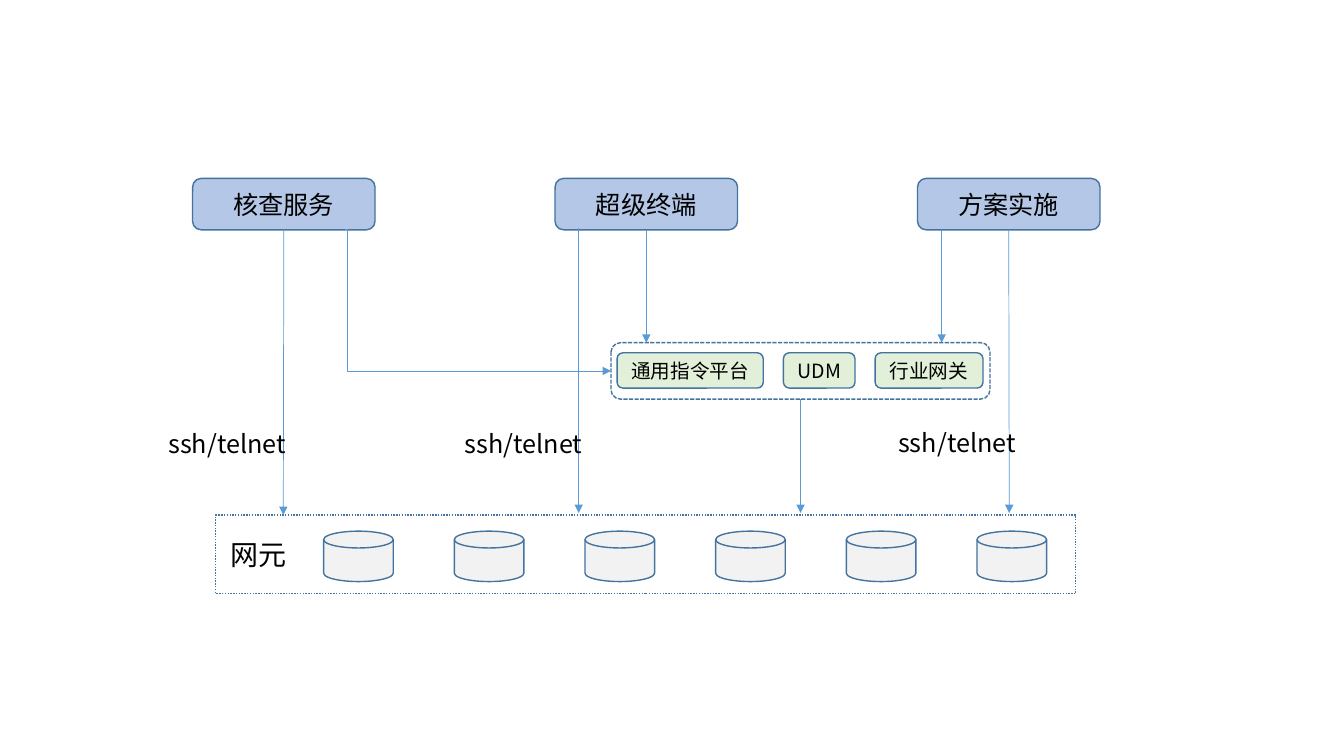
from lxml.etree import SubElement
from pptx import Presentation
from pptx.dml.color import RGBColor
from pptx.enum.dml import MSO_LINE
from pptx.enum.shapes import MSO_CONNECTOR, MSO_SHAPE
from pptx.enum.text import MSO_ANCHOR, PP_ALIGN
from pptx.oxml.ns import qn
from pptx.util import Inches, Pt

FONT = "Noto Sans CJK SC"
COLORS = {
    "service": "B4C7E7",
    "gateway": "E2F0D9",
    "disk": "F2F2F2",
    "edge": "43739E",
    "arrow": "5B9BD5",
    "text": "000000",
}


def color(name):
    return RGBColor.from_string(COLORS[name])


def write(frame, text, size=18, align=PP_ALIGN.LEFT, anchor=MSO_ANCHOR.TOP,
          wrap=True):
    frame.word_wrap = wrap
    frame.vertical_anchor = anchor
    para = frame.paragraphs[0]
    para.alignment = align
    run = para.add_run()
    run.text = text
    run.font.size = Pt(size)
    run.font.color.rgb = color("text")
    run.font.name = FONT
    SubElement(run.font._element, qn("a:ea"), typeface=FONT)


def label(slide, box, text, **fmt):
    area = slide.shapes.add_textbox(*map(Inches, box))
    write(area.text_frame, text, **fmt)


def block(slide, kind, box, fill=None, dash=None, text=None, size=18):
    shape = slide.shapes.add_shape(kind, *map(Inches, box))
    shape.shadow.inherit = False
    if fill:
        shape.fill.solid()
        shape.fill.fore_color.rgb = color(fill)
    else:
        shape.fill.background()
    shape.line.color.rgb = color("edge")
    shape.line.width = Pt(1)
    if dash:
        shape.line.dash_style = dash
    if text:
        write(shape.text_frame, text, size=size, align=PP_ALIGN.CENTER,
              anchor=MSO_ANCHOR.MIDDLE)
    return shape


def arrow(slide, start, end, kind=MSO_CONNECTOR.STRAIGHT, source=None,
          target=None):
    """Draw an arrow; source joins at its bottom, target at its left side."""
    link = slide.shapes.add_connector(kind, *map(Inches, start + end))
    if source:
        link.begin_connect(source, 2)
    if target:
        link.end_connect(target, 1)
    link.line.color.rgb = color("arrow")
    link.line.width = Pt(0.5)
    SubElement(link.line._get_or_add_ln(), qn("a:tailEnd"), type="triangle")
    SubElement(link._element.spPr, qn("a:effectLst"))
    return link


def services(slide, left, top, width, height):
    names = ["核查服务", "超级终端", "方案实施"]
    wide = 1.81
    step = (width - wide) / (len(names) - 1)
    return [
        block(slide, MSO_SHAPE.ROUNDED_RECTANGLE,
              (left + i * step, top, wide, height), "service", text=name)
        for i, name in enumerate(names)
    ]


def platform(slide, left, top, width, height):
    x, gap = left + 0.06, 0.2
    for name, wide in [("通用指令平台", 1.45), ("UDM", 0.71), ("行业网关", 1.07)]:
        block(slide, MSO_SHAPE.ROUNDED_RECTANGLE, (x, top + 0.1, wide, 0.35),
              "gateway", text=name, size=14)
        x += wide + gap
    return block(slide, MSO_SHAPE.ROUNDED_RECTANGLE,
                 (left, top, width, height), dash=MSO_LINE.SQUARE_DOT)


def elements(slide, left, top, width, height):
    """Draw the frame of network elements with its row of disks."""
    block(slide, MSO_SHAPE.RECTANGLE, (left, top, width, height),
          dash=MSO_LINE.ROUND_DOT)
    label(slide, (left + 0.05, top + 0.17, 0.76, 0.44), "网元", size=20,
          wrap=False)
    for i in range(6):
        block(slide, MSO_SHAPE.FLOWCHART_MAGNETIC_DISK,
              (left + 1.07 + i * 1.296, top + 0.16, 0.69, 0.5), "disk")


def links(slide, tops, hub):
    """Draw the arrows from the services and the platform."""
    check, term, plan = tops
    low, mid, base = 2.28, 3.4, 5.09
    arrow(slide, (2.81, low), (2.81, 5.11), source=check)
    arrow(slide, (5.74, 2.26), (5.74, base))
    arrow(slide, (6.41, low), (6.41, mid), source=term)
    arrow(slide, (9.34, low), (9.34, mid))
    arrow(slide, (10.01, low), (10.01, base), source=plan)
    arrow(slide, (7.94, 3.96), (7.94, base), source=hub)
    bent = arrow(slide, (3.42, low), (6.06, 3.68), MSO_CONNECTOR.ELBOW,
                 target=hub)
    guides = bent._element.spPr.find(qn("a:prstGeom")).find(qn("a:avLst"))
    SubElement(guides, qn("a:gd"), name="adj1", fmla="val 900")
    for x, y in [(1.57, 4.2), (4.51, 4.2), (8.81, 4.19)]:
        label(slide, (x, y, 1.38, 0.4), "ssh/telnet")


def main():
    deck = Presentation()
    deck.slide_width, deck.slide_height = Inches(13.33), Inches(7.5)
    slide = deck.slides.add_slide(deck.slide_layouts[6])
    tops = services(slide, 1.91, 1.77, 9, 0.51)
    elements(slide, 2.14, 5.11, 8.53, 0.78)
    hub = platform(slide, 6.06, 3.4, 3.76, 0.56)
    links(slide, tops, hub)
    deck.save("out.pptx")


if __name__ == "__main__":
    main()
